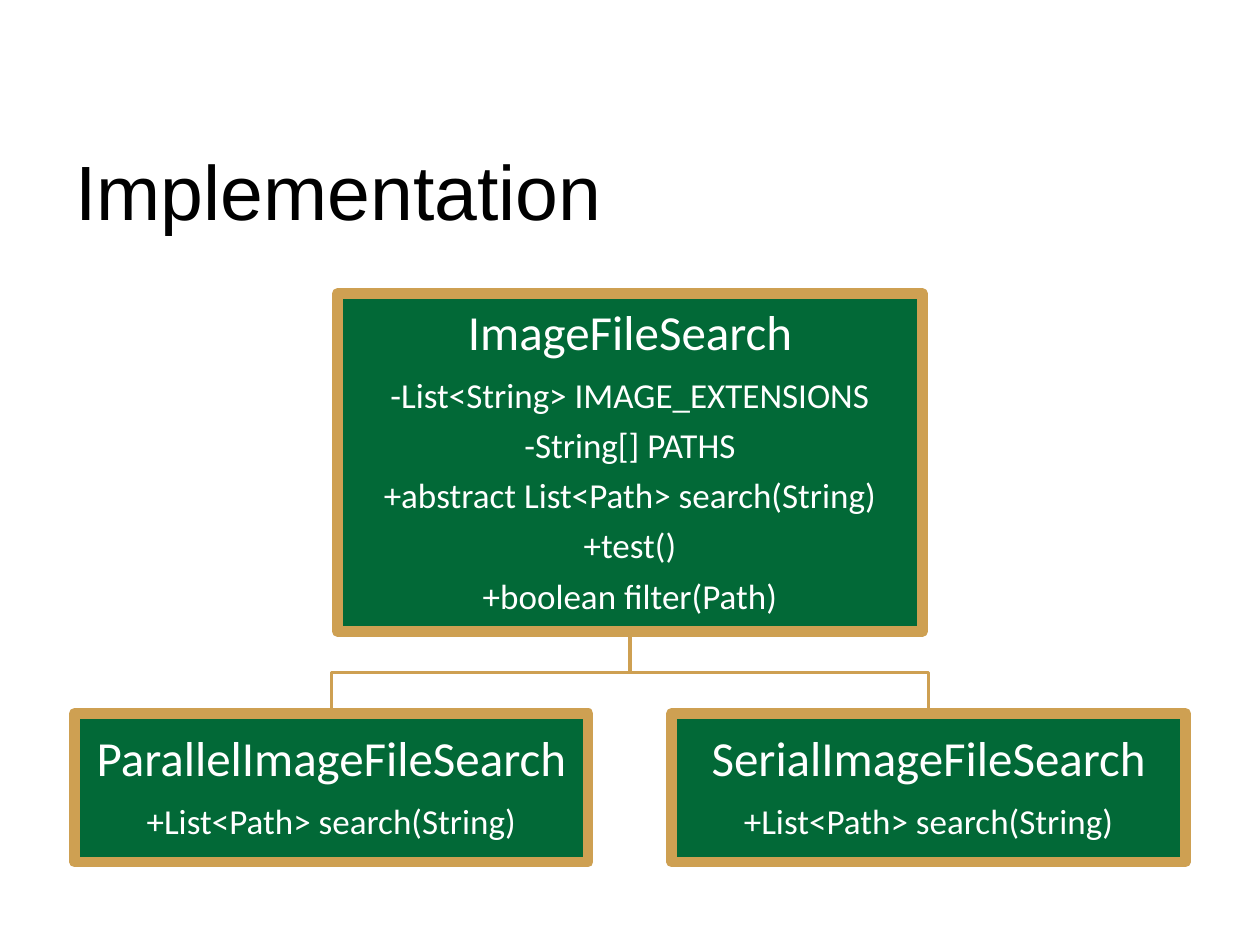
from pptx import Presentation
from pptx.dml.color import RGBColor
from pptx.enum.shapes import MSO_SHAPE as Shape
from pptx.enum.text import MSO_ANCHOR as Anchor, PP_ALIGN as Align
from pptx.util import Cm, Pt


def color(value):
    return RGBColor.from_string(value)


class ClassDiagram:
    GREEN, GOLD, WHITE, BLACK = "026937", "CEA052", "FFFFFF", "000000"
    TITLE_FONT, BODY_FONT = "Arial", "Calibri"
    NAME_SIZE, MEMBER_SIZE = 28, 20

    def __init__(self, slide):
        self.slide = slide

    def format_paragraph(self, paragraph, font_name, size, font_color):
        for run in paragraph.runs:
            run.font.name = font_name
            run.font.size = Pt(size)
            run.font.color.rgb = color(font_color)

    def outline(self, shape, width):
        shape.shadow.inherit = False
        shape.line.color.rgb = color(self.GOLD)
        shape.line.width = Pt(width)

    def title(self, text, left, top, width, height):
        shape = self.slide.shapes.add_textbox(Cm(left), Cm(top), Cm(width), Cm(height))
        text_frame = shape.text_frame
        text_frame.word_wrap = True
        text_frame.vertical_anchor = Anchor.MIDDLE
        text_frame.text = text
        self.format_paragraph(text_frame.paragraphs[0], self.TITLE_FONT, 44, self.BLACK)

    def class_box(self, name, members, center, top, width, height):
        shape = self.slide.shapes.add_shape(
            Shape.RECTANGLE, Cm(center - width / 2), Cm(top), Cm(width), Cm(height))
        shape.fill.solid()
        shape.fill.fore_color.rgb = color(self.GREEN)
        self.outline(shape, 6)
        text_frame = shape.text_frame
        text_frame.word_wrap = True
        text_frame.vertical_anchor = Anchor.MIDDLE
        text_frame.margin_left = text_frame.margin_right = Cm(0.05)
        text_frame.margin_top = text_frame.margin_bottom = Cm(0.05)
        text_frame.text = "\n".join([name, *members])
        for index, paragraph in enumerate(text_frame.paragraphs):
            size = self.MEMBER_SIZE if index else self.NAME_SIZE
            paragraph.alignment = Align.CENTER
            paragraph.line_spacing = 0.9
            paragraph.space_after = Pt(0.35 * size)
            self.format_paragraph(paragraph, self.BODY_FONT, size, self.WHITE)

    def branch(self, start_x, start_y, end_x, end_y):
        middle_y = (start_y + end_y) / 2
        builder = self.slide.shapes.build_freeform(Cm(start_x), Cm(start_y))
        points = [(start_x, middle_y), (end_x, middle_y), (end_x, end_y)]
        builder.add_line_segments([(Cm(x), Cm(y)) for x, y in points], close=False)
        shape = builder.convert_to_shape()
        shape.fill.background()
        self.outline(shape, 2)


def main():
    presentation = Presentation()
    presentation.slide_width, presentation.slide_height = Cm(25.4), Cm(19.05)
    slide = presentation.slides.add_slide(presentation.slide_layouts[6])
    diagram = ClassDiagram(slide)
    diagram.title("Implementation", 1.27, 2.24, 22.86, 3.18)

    middle, offset = 12.7, 6.02
    parent_top, parent_height, child_top = 5.92, 6.81, 14.38
    search = "+List<Path> search(String)"
    children = {
        "ParallelImageFileSearch": middle - offset,
        "SerialImageFileSearch": middle + offset,
    }
    for center in children.values():
        diagram.branch(middle, parent_top + parent_height, center, child_top)
    diagram.class_box("ImageFileSearch", [
        "-List<String> IMAGE_EXTENSIONS",
        "-String[] PATHS",
        "+abstract List<Path> search(String)",
        "+test()",
        "+boolean filter(Path)",
    ], middle, parent_top, 11.8, parent_height)
    for name, center in children.items():
        diagram.class_box(name, [search], center, child_top, 10.36, 3)
    presentation.save("out.pptx")


if __name__ == "__main__":
    main()
